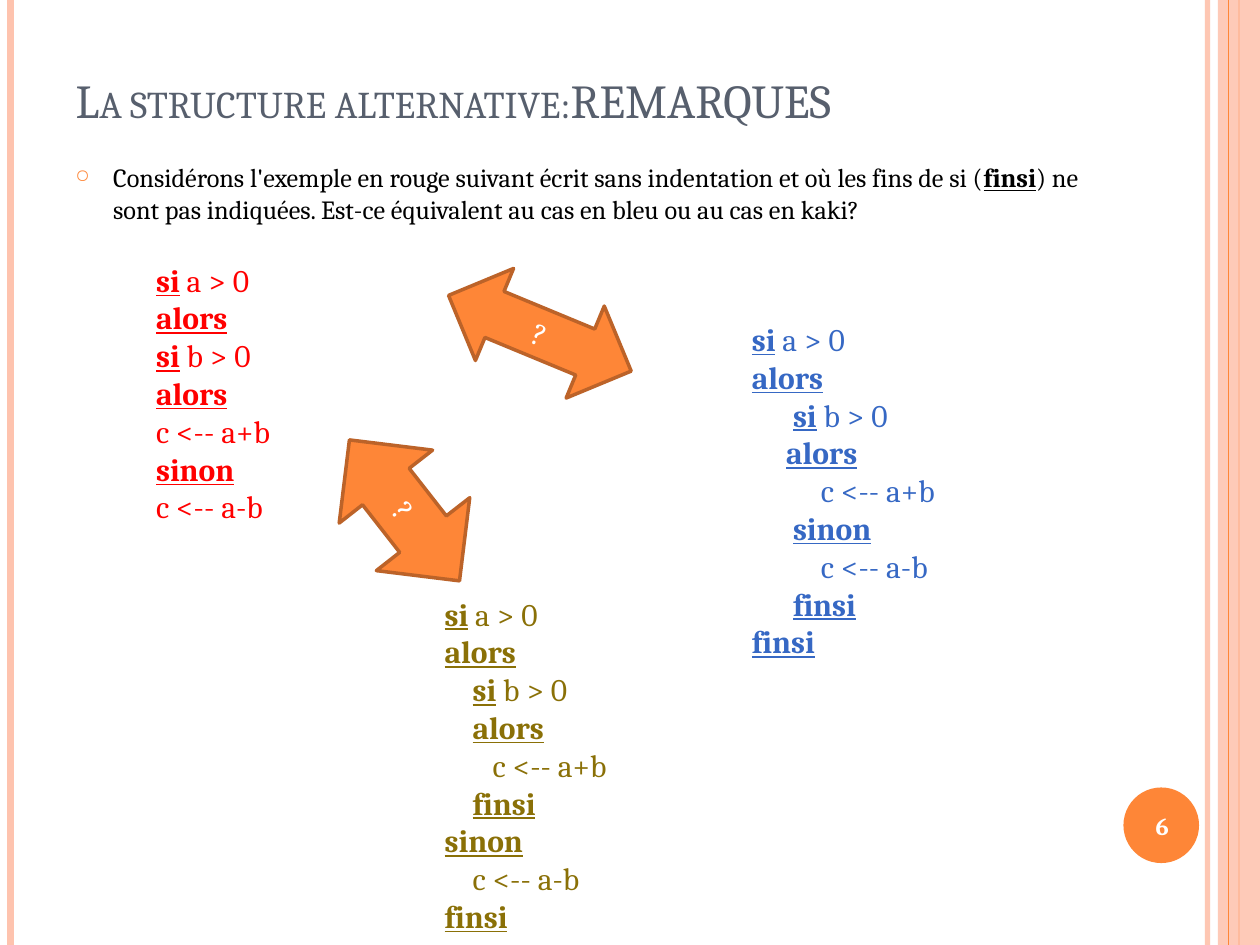
from lxml.etree import SubElement
from pptx import Presentation
from pptx.dml.color import RGBColor
from pptx.enum.shapes import MSO_CONNECTOR, MSO_SHAPE
from pptx.enum.text import MSO_ANCHOR, PP_ALIGN
from pptx.oxml.ns import qn
from pptx.util import Pt

FONT = "Cambria"
WIDE, HIGH = 720, 540
HEX = {
    "orange": "FE8637", "pale": "FEC3AE", "edge": "BC6329", "slate": "575F6D",
    "black": "000000", "white": "FFFFFF",
    "red": "FF0000", "blue": "3668C4", "kaki": "8A7007",
}

# Code listings: (indent, text), keywords between asterisks
RED = [(0, "*si* a > 0"), (0, "*alors*"), (0, "*si* b > 0"), (0, "*alors*"),
       (0, "c <-- a+b"), (0, "*sinon*"), (0, "c <-- a-b")]
BLUE = [(0, "*si* a > 0"), (0, "*alors*"), (23.5, "*si* b > 0"), (19.5, "*alors*"),
        (39.5, "c <-- a+b"), (23.5, "*sinon*"), (39.5, "c <-- a-b"),
        (23.5, "*finsi*"), (0, "*finsi*")]
KAKI = [(0, "*si* a > 0"), (0, "*alors*"), (16, "*si* b > 0"), (16, "*alors*"),
        (27.5, "c <-- a+b"), (16, "*finsi*"), (0, "*sinon*"),
        (16, "c <-- a-b"), (0, "*finsi*")]


def color(name):
    return RGBColor.from_string(HEX[name])


def apply(item, values):
    for key, value in values.items():
        setattr(item, key, value)


def fade(part, percent):
    tone = part.find(".//" + qn("a:srgbClr"))
    SubElement(tone, qn("a:alpha"), val=str(percent * 1000))


def write(par, text, size, tint, **style):
    """Add runs; every second piece between asterisks is a keyword."""
    for num, piece in enumerate(text.split("*")):
        if piece:
            run = par.add_run()
            run.text = piece
            key = {"bold": True, "underline": True} if num % 2 else {}
            apply(run.font, {"name": FONT, "size": Pt(size), **key, **style})
            run.font.color.rgb = color(tint)


def add_box(slide, *place):
    frame = slide.shapes.add_textbox(*map(Pt, place)).text_frame
    frame.word_wrap = True
    return frame


def add_rule(slide, x, width, tint, alpha=None):
    rule = slide.shapes.add_connector(MSO_CONNECTOR.STRAIGHT, Pt(x), 0, Pt(x), Pt(HIGH))
    rule.line.width = Pt(width)
    rule.line.color.rgb = color(tint)
    props = rule._element.spPr
    if alpha:
        fade(props, alpha)
    SubElement(props, qn("a:effectLst"))


def add_shape(slide, kind, place, tint, edge=None):
    shape = slide.shapes.add_shape(kind, *map(Pt, place))
    shape.shadow.inherit = False
    shape.fill.solid()
    shape.fill.fore_color.rgb = color(tint)
    if edge:
        shape.line.color.rgb = color(edge)
        shape.line.width = Pt(2)
    else:
        shape.line.fill.background()
    return shape


def add_arrow(slide, place, turn):
    arrow = add_shape(slide, MSO_SHAPE.LEFT_RIGHT_ARROW, place, "orange", "edge")
    arrow.rotation = turn
    center(arrow.text_frame, "?", 18)


def center(frame, text, size, **style):
    frame.vertical_anchor = MSO_ANCHOR.MIDDLE
    par = frame.paragraphs[0]
    par.alignment = PP_ALIGN.CENTER
    write(par, text, size, "white", **style)


def add_code(slide, place, rows, tint):
    frame = add_box(slide, *place)
    for num, (indent, text) in enumerate(rows):
        par = frame.add_paragraph() if num else frame.paragraphs[0]
        par._p.get_or_add_pPr().set("marL", str(Pt(indent)))
        write(par, text, 18, tint)


def add_title(slide, text):
    title = slide.shapes.title
    apply(title, {"left": Pt(36), "top": Pt(21.6), "width": Pt(588), "height": Pt(55.4)})
    title.text_frame.vertical_anchor = MSO_ANCHOR.BOTTOM
    par = title.text_frame.paragraphs[0]
    par.alignment = PP_ALIGN.LEFT
    write(par, text, 27, "slate")
    par.runs[0].font._element.set("cap", "small")


def add_point(slide, place, text):
    par = add_box(slide, *place).paragraphs[0]
    par.space_before = Pt(6)
    props = par._p.get_or_add_pPr()
    apply_xml = {"marL": str(Pt(21.6)), "indent": str(Pt(-21.6))}
    for key, value in apply_xml.items():
        props.set(key, value)
    SubElement(SubElement(props, qn("a:buClr")), qn("a:srgbClr"), val=HEX["orange"])
    SubElement(props, qn("a:buSzPct"), val="70000")
    SubElement(props, qn("a:buChar"), char="○")
    write(par, text, 15, "black")


def add_frame(slide):
    add_rule(slide, 690, 3, "pale", 93)
    add_rule(slide, 6, 4.5, "pale")
    add_rule(slide, 708, 1.5, "orange")
    band = add_shape(slide, MSO_SHAPE.RECTANGLE, (696, 0, 24, HIGH), "pale")
    fade(band._element.spPr, 87)
    add_rule(slide, 702, 0.75, "orange")
    add_shape(slide, MSO_SHAPE.OVAL, (642, 450, 43.2, 43.2), "orange")


def main():
    deck = Presentation()
    apply(deck, {"slide_width": Pt(WIDE), "slide_height": Pt(HIGH)})
    slide = deck.slides.add_slide(deck.slide_layouts[5])

    # Side rules and number disc
    add_frame(slide)

    # Title and question
    add_title(slide, "La structure alternative:REMARQUES")
    add_point(slide, (36, 88.6, 613.4, 39.6),
              "Considérons l'exemple en rouge suivant écrit sans indentation et où "
              "les fins de si (*finsi*) ne sont pas indiquées. Est-ce équivalent au "
              "cas en bleu ou au cas en kaki?")

    # Three listings
    add_code(slide, (422.6, 179.3, 139, 225.4), BLUE, "blue")
    add_code(slide, (247, 336.2, 198.7, 203), KAKI, "kaki")
    add_code(slide, (82.1, 145.4, 87.1, 181.4), RED, "red")

    # Arrows between them
    add_arrow(slide, (252, 162, 113, 56.9), 22.5)
    add_arrow(slide, (180, 257.8, 102.2, 67.7), 52)

    # Slide number
    center(add_box(slide, 640, 451.4, 48.2, 41), "6", 14, bold=True)
    deck.save("out.pptx")


main()
